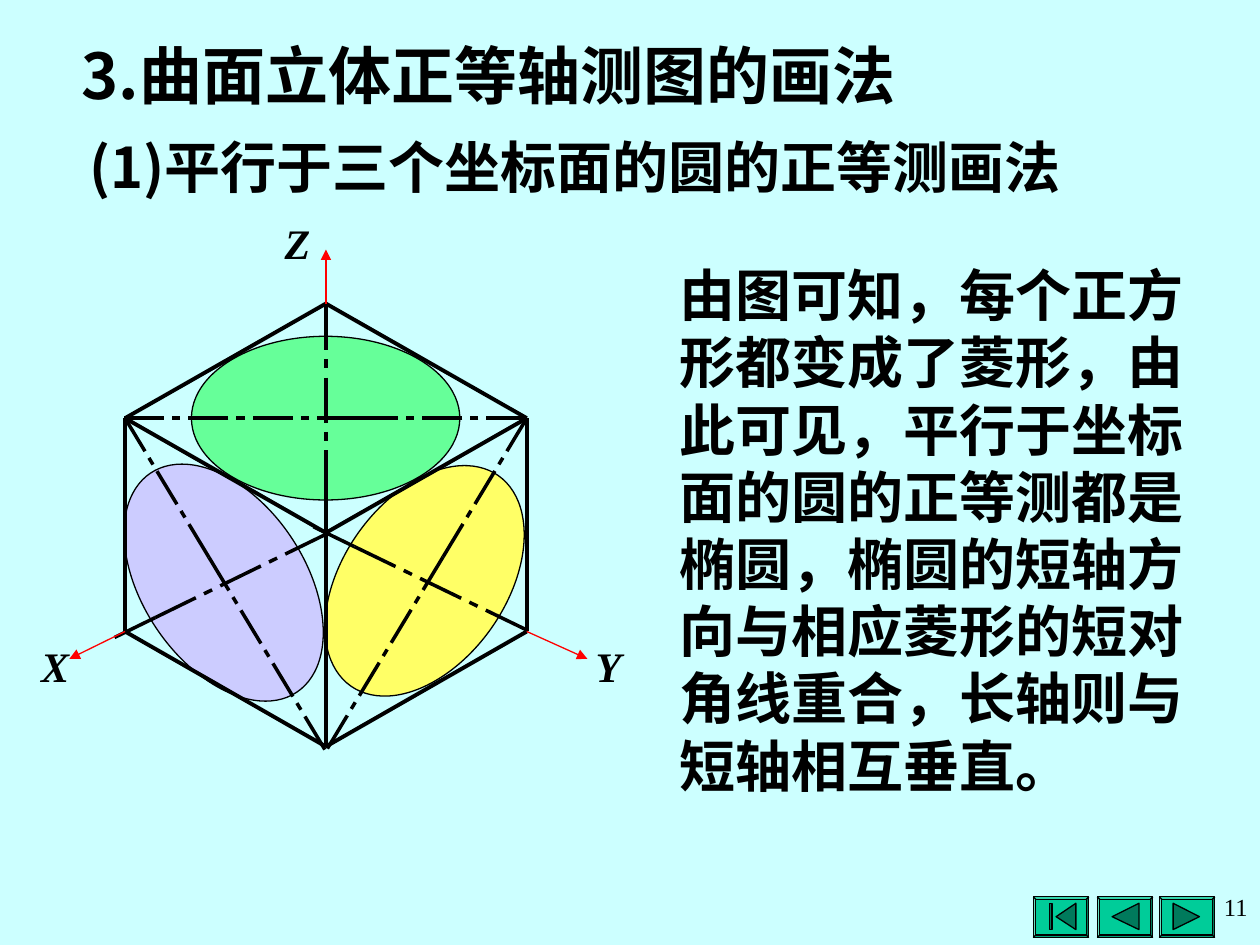
"""Build the slide on isometric circles parallel to the coordinate planes."""
from dataclasses import dataclass

from lxml.etree import SubElement
from pptx import Presentation
from pptx.dml.color import RGBColor
from pptx.enum.shapes import MSO_CONNECTOR as Connector, MSO_SHAPE as Preset
from pptx.enum.text import MSO_ANCHOR as Anchor, PP_ALIGN as Align
from pptx.oxml.ns import qn
from pptx.util import Cm, Pt

Point = tuple[float, float]
COLORS = {
    "page": "CCFFFF", "ink": "000000", "axis": "FF0000", "left": "CCCCFF",
    "right": "FFFF66", "top": "66FF99", "button": "00CC99", "glyph": "007A5C",
}
HAN, ROMAN = "Noto Sans CJK SC", "Times New Roman"


@dataclass
class TextStyle:
    """Describe the look of a paragraph."""
    size: float
    font: str = HAN
    bold: bool = True
    italic: bool = False
    align: Align = Align.LEFT
    wrap: bool = True


@dataclass
class Face:
    """Describe an ellipse on one cube face and its centre lines."""
    color: str
    box: tuple[float, float, float, float]
    rotation: float
    centre_lines: list[tuple[Point, Point, str]]


@dataclass
class Axis:
    """Describe a labelled coordinate axis."""
    name: str
    start: Point
    end: Point
    label_at: Point


@dataclass
class Button:
    """Describe a navigation button and the outlines on it."""
    left: float
    outlines: list[list[Point]]


MIDDLE, LEFT, RIGHT = 6.57, 2.52, 10.62
APEX, CENTRE, BASE = (MIDDLE, 6.12), (MIDDLE, 10.74), (MIDDLE, 15.05)
UPPER_LEFT, UPPER_RIGHT = (LEFT, 8.43), (RIGHT, 8.43)
LOWER_LEFT, LOWER_RIGHT = (LEFT, 12.73), (RIGHT, 12.73)
EDGES = [
    (CENTRE, BASE), (APEX, UPPER_RIGHT), (UPPER_RIGHT, LOWER_RIGHT),
    (APEX, UPPER_LEFT), (UPPER_LEFT, CENTRE), (CENTRE, UPPER_RIGHT),
    (BASE, LOWER_RIGHT), (LOWER_LEFT, BASE), (UPPER_LEFT, LOWER_LEFT),
]
LONG_AXIS, SHORT_AXIS = "L s L s LL s L s L s L", "L s L s LL"
DASH_UNITS = {"L": 5, "s": 1, " ": 1}
FACES = [
    Face("left", (2.87, 9.09, 3.28, 5.31), 326.3, [
        (UPPER_LEFT, (6.55, 15.11), LONG_AXIS),
        ((MIDDLE, 10.77), (2.31, 12.85), SHORT_AXIS)]),
    Face("right", (6.91, 9.12, 3.3, 5.18), 35, [
        (UPPER_RIGHT, (6.6, 15.09), LONG_AXIS),
        ((RIGHT, 12.7), (6.32, 10.62), SHORT_AXIS)]),
    Face("top", (3.86, 6.78, 5.41, 3.3), 0, [
        (UPPER_RIGHT, (2.49, 8.43), LONG_AXIS),
        ((MIDDLE, 6.15), (MIDDLE, 10.9), SHORT_AXIS)]),
]
AXES = [
    Axis("Z", APEX, (MIDDLE, 5.03), (5.49, 4.27)),
    Axis("X", LOWER_LEFT, (1.4, 13.28), (0.58, 12.78)),
    Axis("Y", LOWER_RIGHT, (11.84, 13.28), (11.76, 12.78)),
]
BUTTONS = [
    Button(20.83, [[(0.46, 0.4), (0.86, 0.13), (0.86, 0.66)],
                   [(0.33, 0.13), (0.38, 0.13), (0.38, 0.66), (0.33, 0.66)]]),
    Button(22.12, [[(0.3, 0.4), (0.84, 0.13), (0.84, 0.66)]]),
    Button(23.37, [[(0.28, 0.13), (0.81, 0.4), (0.28, 0.66)]]),
]
BUTTON_TOP, BUTTON_WIDTH, BUTTON_HEIGHT = 18.08, 1.12, 0.82


def rgb(name: str) -> RGBColor:
    """Look up a named colour."""
    return RGBColor.from_string(COLORS[name])


def write(box, text: str, style: TextStyle) -> None:
    """Put one styled paragraph into a box."""
    frame = box.text_frame
    frame.word_wrap = style.wrap
    frame.vertical_anchor = Anchor.TOP
    para = frame.paragraphs[0]
    para.text = text
    para.alignment = style.align
    para.space_before = Pt(0)
    para.line_spacing = Pt(style.size * 1.2)
    font = para.font
    font.name, font.size = style.font, Pt(style.size)
    font.bold, font.italic = style.bold, style.italic
    font.color.rgb = rgb("ink")
    properties = para._p.get_or_add_pPr().find(qn("a:defRPr"))
    SubElement(properties, qn("a:ea")).set("typeface", style.font)


def add_text(page, place: tuple, text: str, style: TextStyle) -> None:
    """Add a text box at left, top, width, height."""
    write(page.shapes.add_textbox(*map(Cm, place)), text, style)


def add_line(page, start: Point, end: Point, width: float, color="ink", arrow=False) -> None:
    """Add a straight line, with an arrowhead if asked."""
    line = page.shapes.add_connector(Connector.STRAIGHT, *map(Cm, start + end))
    line.line.width = Pt(width)
    line.line.color.rgb = rgb(color)
    if arrow:
        SubElement(line.line._get_or_add_ln(), qn("a:tailEnd")).set("type", "triangle")
    SubElement(line._element.spPr, qn("a:effectLst"))


def add_centre_line(page, start: Point, end: Point, pattern: str) -> None:
    """Add the long and short dashes of a centre line."""
    total = sum(DASH_UNITS[mark] for mark in pattern)

    def at(units: int) -> Point:
        share = units / total
        return tuple(a + (b - a) * share for a, b in zip(start, end))

    done = 0
    for mark in pattern:
        after = done + DASH_UNITS[mark]
        if mark != " ":
            add_line(page, at(done), at(after), 0)
        done = after


def paint(shape, color: str) -> None:
    """Give a shape a flat fill and a thin outline."""
    shape.shadow.inherit = False
    shape.fill.solid()
    shape.fill.fore_color.rgb = rgb(color)
    shape.line.color.rgb = rgb("ink")
    shape.line.width = Pt(0.75)


def add_face(page, face: Face) -> None:
    """Add an ellipse with its centre lines."""
    ellipse = page.shapes.add_shape(Preset.OVAL, *map(Cm, face.box))
    ellipse.rotation = face.rotation
    paint(ellipse, face.color)
    for start, end, pattern in face.centre_lines:
        add_centre_line(page, start, end, pattern)


def add_button(page, button: Button) -> None:
    """Add a bevelled button with its symbol."""
    place = (button.left, BUTTON_TOP, BUTTON_WIDTH, BUTTON_HEIGHT)
    bevel = page.shapes.add_shape(Preset.BEVEL, *map(Cm, place))
    bevel.adjustments[0] = 0.06
    paint(bevel, "button")
    for outline in button.outlines:
        points = [(Cm(button.left + x), Cm(BUTTON_TOP + y)) for x, y in outline]
        builder = page.shapes.build_freeform(*points[0])
        builder.add_line_segments(points[1:])
        paint(builder.convert_to_shape(), "glyph")


def main() -> None:
    """Assemble and save the deck."""
    deck = Presentation()
    deck.slide_width, deck.slide_height = Cm(25.4), Cm(19.05)
    page = deck.slides.add_slide(deck.slide_layouts[5])
    page.background.fill.solid()
    page.background.fill.fore_color.rgb = rgb("page")
    title = page.shapes.title
    title.left, title.top, title.width, title.height = map(Cm, (1.19, 0.6, 17.32, 1.78))
    write(title, "3.曲面立体正等轴测图的画法", TextStyle(36, align=Align.CENTER, wrap=False))
    for button in BUTTONS:
        add_button(page, button)
    for face in FACES:
        add_face(page, face)
    for start, end in EDGES:
        add_line(page, start, end, 2.25)
    for axis in AXES:
        add_line(page, axis.start, axis.end, 0.75, "axis", arrow=True)
        add_text(page, axis.label_at + (1.07, 1.27), axis.name,
                 TextStyle(24, ROMAN, italic=True, wrap=False))
    add_text(page, (13.44, 5.13, 11.07, 11.1),
             "由图可知，每个正方形都变成了菱形，由此可见，平行于坐标面的圆的正等测都是椭圆，"
             "椭圆的短轴方向与相应菱形的短对角线重合，长轴则与短轴相互垂直。", TextStyle(32))
    add_text(page, (1.55, 2.54, 20.98, 1.63), "(1)平行于三个坐标面的圆的正等测画法", TextStyle(32))
    add_text(page, (19, 17.86, 6.4, 1.55), "11", TextStyle(14, ROMAN, bold=False, align=Align.RIGHT))
    deck.save("out.pptx")


if __name__ == "__main__":
    main()
